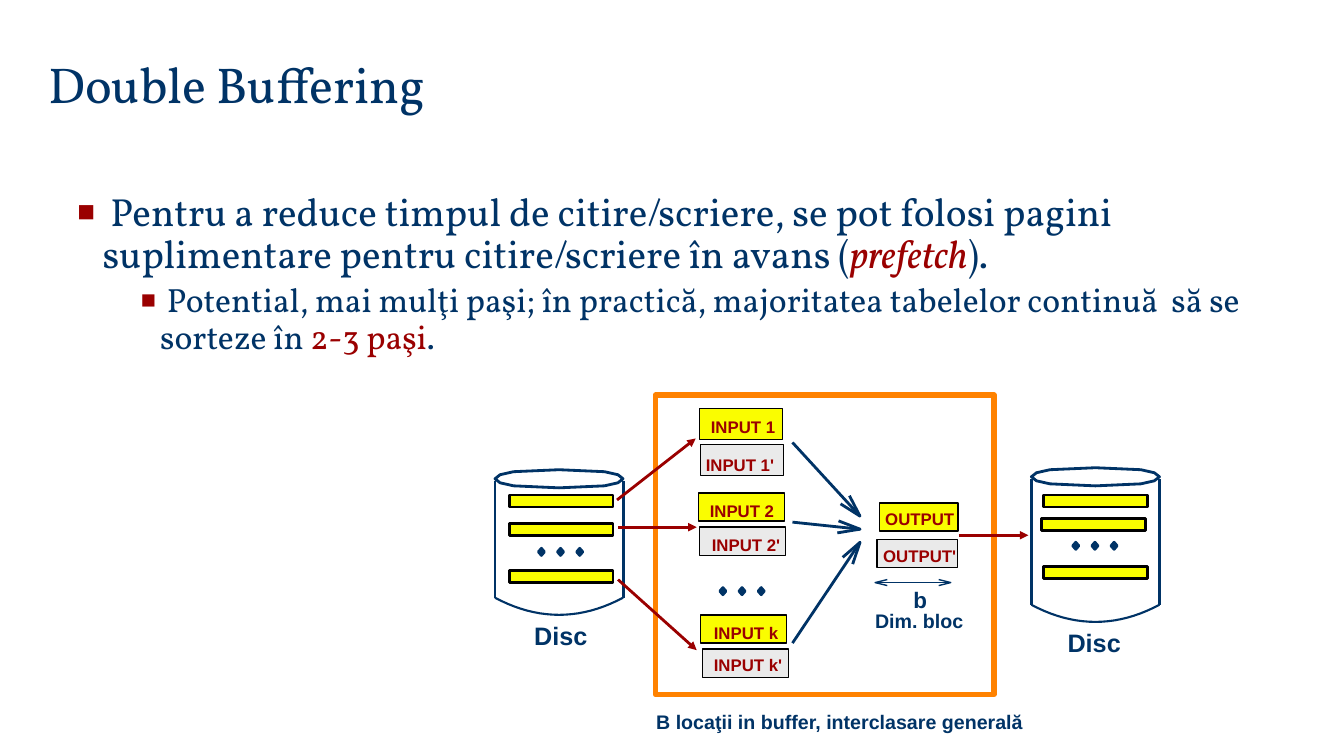
import math

from lxml import etree
from pptx import Presentation
from pptx import util as u
from pptx.dml.color import RGBColor
from pptx.enum import shapes, text
from pptx.oxml import ns

NAVY, RED, ORANGE = "003366", "9A0000", "FF8200"
YELLOW, GRAY, BLACK = "FAFD00", "EAEAEA", "000000"


def length(inches):
    """Slide coordinates are in inches."""
    return u.Cm(inches * 2.54)


def color(code):
    return RGBColor.from_string(code)


def style(shape, fill, line, width):
    shape.shadow.inherit = False
    if fill:
        shape.fill.solid()
        shape.fill.fore_color.rgb = color(fill)
    else:
        shape.fill.background()
    shape.line.color.rgb = color(line)
    shape.line.width = u.Pt(width)


def add_preset(page, kind, x, y, w, h, fill, line, width):
    shape = page.shapes.add_shape(kind, *map(length, (x, y, w, h)))
    style(shape, fill, line, width)
    return shape


def add_rect(page, x, y, w, h, fill, line, width):
    return add_preset(page, shapes.MSO_SHAPE.RECTANGLE, x, y, w, h, fill, line, width)


def add_outline(page, points, width, close=False):
    corners = [(length(x), length(y)) for x, y in points]
    builder = page.shapes.build_freeform(*corners[0])
    builder.add_line_segments(corners[1:], close=close)
    style(builder.convert_to_shape(), None, NAVY, width)


def add_line(page, start, end, line, width, tip=False):
    connector = page.shapes.add_connector(
        shapes.MSO_CONNECTOR.STRAIGHT, *map(length, (*start, *end)))
    connector.line.color.rgb = color(line)
    connector.line.width = u.Pt(width)
    if tip:
        etree.SubElement(connector.line._get_or_add_ln(), ns.qn("a:tailEnd"), type="triangle")
    etree.SubElement(connector._element.spPr, ns.qn("a:effectLst"))


def add_barb(page, start, end, size, half, width):
    """Draw an open V head at the end of a line."""
    angle = math.atan2(end[1] - start[1], end[0] - start[0])
    cos, sin = math.cos(angle), math.sin(angle)
    sides = [(end[0] - size * cos - side * sin, end[1] - size * sin + side * cos)
             for side in (-half, half)]
    add_outline(page, [sides[0], end, sides[1]], width)


def format_span(span, size, font, code, bold=None, italic=None):
    span.font.size = u.Pt(size)
    span.font.name = font
    span.font.color.rgb = color(code)
    span.font.bold = bold
    span.font.italic = italic


def add_label(page, words, x, y, w, h, size, font="Arial", bold=True):
    box = page.shapes.add_textbox(*map(length, (x, y, w, h)))
    box.text_frame.word_wrap = False
    box.text_frame.text = words
    format_span(box.text_frame.paragraphs[0].runs[0], size, font, NAVY, bold)
    return box


def add_buffer(page, words, x, y, w, h, fill, left, top):
    """Draw a buffer page whose caption starts at the given insets."""
    frame = add_rect(page, x, y, w, h, fill, BLACK, 1).text_frame
    frame.word_wrap = False
    frame.vertical_anchor = text.MSO_ANCHOR.TOP
    frame.margin_left, frame.margin_top = length(left), length(top)
    frame.margin_right = frame.margin_bottom = 0
    frame.text = words
    frame.paragraphs[0].alignment = text.PP_ALIGN.LEFT
    format_span(frame.paragraphs[0].runs[0], 12, "Arial", RED, True)


def add_dots(page, x, y):
    for index in range(3):
        add_preset(page, shapes.MSO_SHAPE.DIAMOND, x + 0.19 * index, y, 0.06, 0.07,
                   NAVY, NAVY, 2)


def add_disc(page, x, y, floor, bars, dots, caption):
    """Draw a cylinder from its lid at y down to the sides' end at floor."""
    w = 1.27
    middle = x + w / 2
    lid = [(1, 0), (0.92, -0.04), (0.71, -0.07), (0, -0.09),
           (-0.71, -0.07), (-0.92, -0.04), (-1, 0)]
    lid += [(dx, -dy) for dx, dy in lid[-2:0:-1]]
    add_outline(page, [(middle + dx * w / 2, y + dy) for dx, dy in lid], 2, close=True)
    for side in (x, x + w):
        add_line(page, (side, y + 0.02), (side, floor), NAVY, 2)
    steps = [index / 10 for index in range(-10, 11)]
    add_outline(page, [(middle + t * w / 2, floor + 0.17 * (1 - t * t)) for t in steps], 1.5)
    for left, top in bars:
        add_rect(page, left, top, 1.03, 0.12, YELLOW, BLACK, 2)
    add_dots(page, *dots)
    add_label(page, "Disc", *caption, 0.73, 0.4, 18)


def add_bullet(para, spans, size, margin, indent):
    props = para._p.get_or_add_pPr()
    props.set("marL", str(length(margin)))
    props.set("indent", str(length(indent)))
    para.line_spacing = 0.9
    para.space_before = u.Pt(size * 0.2)
    bullet_color = etree.SubElement(props, ns.qn("a:buClr"))
    etree.SubElement(bullet_color, ns.qn("a:srgbClr"), val=RED)
    etree.SubElement(props, ns.qn("a:buSzPct"), val="75000")
    etree.SubElement(props, ns.qn("a:buFont"), typeface="Arial")
    etree.SubElement(props, ns.qn("a:buChar"), char="■")
    for words, code, italic in spans:
        span = para.add_run()
        span.text = words
        format_span(span, size, "Vollkorn", code, italic=italic)


def add_body(page):
    frame = page.shapes.add_textbox(*map(length, (0.67, 1.86, 12.42, 2))).text_frame
    frame.word_wrap = True
    add_bullet(frame.paragraphs[0], [
        (" Pentru a reduce timpul de citire/scriere, se pot folosi pagini suplimentare "
         "pentru citire/scriere în avans (", NAVY, False),
        ("prefetch", RED, True), (").", NAVY, False)], 28, 0.25, -0.25)
    add_bullet(frame.add_paragraph(), [
        (" Potential, mai mulţi paşi; în practică, majoritatea tabelelor continuă  să se "
         "sorteze în ", NAVY, False),
        ("2-3 paşi", RED, False), (".", NAVY, False)], 24, 0.82, -0.19)


def main():
    deck = Presentation()
    deck.slide_width, deck.slide_height = length(13.33), length(7.5)
    page = deck.slides.add_slide(deck.slide_layouts[6])

    title = add_label(page, "Double Buffering", 0.38, 0.47, 11.25, 0.71, 36, "Vollkorn", False)
    title.text_frame.word_wrap = True
    title.text_frame.vertical_anchor = text.MSO_ANCHOR.BOTTOM
    add_body(page)

    add_rect(page, 6.5, 3.92, 3.36, 2.97, None, ORANGE, 4)
    for buffer in [
        ("INPUT 1", 6.94, 4.05, 0.82, 0.31, YELLOW, 0.11, 0.08),
        ("INPUT 1'", 6.95, 4.41, 0.82, 0.31, GRAY, 0.05, 0.1),
        ("INPUT 2", 6.93, 4.89, 0.85, 0.28, YELLOW, 0.11, 0.08),
        ("INPUT 2'", 6.94, 5.23, 0.85, 0.28, GRAY, 0.12, 0.07),
        ("INPUT k", 6.95, 6.1, 0.85, 0.28, YELLOW, 0.13, 0.08),
        ("INPUT k'", 6.97, 6.44, 0.85, 0.28, GRAY, 0.11, 0.06),
        ("OUTPUT", 8.72, 4.99, 0.78, 0.28, YELLOW, 0.06, 0.06),
        ("OUTPUT'", 8.7, 5.35, 0.8, 0.28, GRAY, 0.06, 0.06),
    ]:
        add_buffer(page, *buffer)
    add_dots(page, 7.14, 5.83)

    add_disc(page, 4.91, 4.75, 5.93, [(5.05, 4.91), (5.05, 5.19), (5.05, 5.66)],
             (5.34, 5.44), (5.2, 6.1))
    add_disc(page, 10.23, 4.73, 6, [(10.35, 4.91), (10.33, 5.14), (10.35, 5.62)],
             (10.64, 5.38), (10.49, 6.17))

    for start, end in [((6.12, 4.96), (6.9, 4.35)), ((6.13, 5.23), (6.91, 5.23)),
                       ((6.13, 5.75), (6.91, 6.45)), ((9.51, 5.31), (10.2, 5.31))]:
        add_line(page, start, end, RED, 2, tip=True)
    for top, target in [(4.39, 5.12), (5.18, 5.25), (6.38, 5.38)]:
        start, end = (7.86, top), (8.53, target)
        add_line(page, start, end, NAVY, 2)
        add_barb(page, start, end, 0.22, 0.06, 2)

    left, right = (8.68, 5.78), (9.43, 5.78)
    add_line(page, left, right, NAVY, 1)
    add_barb(page, left, right, 0.12, 0.03, 1)
    add_barb(page, right, left, 0.12, 0.03, 1)
    add_label(page, "b", 8.96, 5.77, 0.34, 0.37, 16)
    add_label(page, "Dim. bloc", 8.58, 5.99, 1.08, 0.33, 14)
    add_label(page, "B locaţii in buffer, interclasare generală", 6.41, 6.99, 3.85, 0.33, 14)
    deck.save("out.pptx")


if __name__ == "__main__":
    main()
